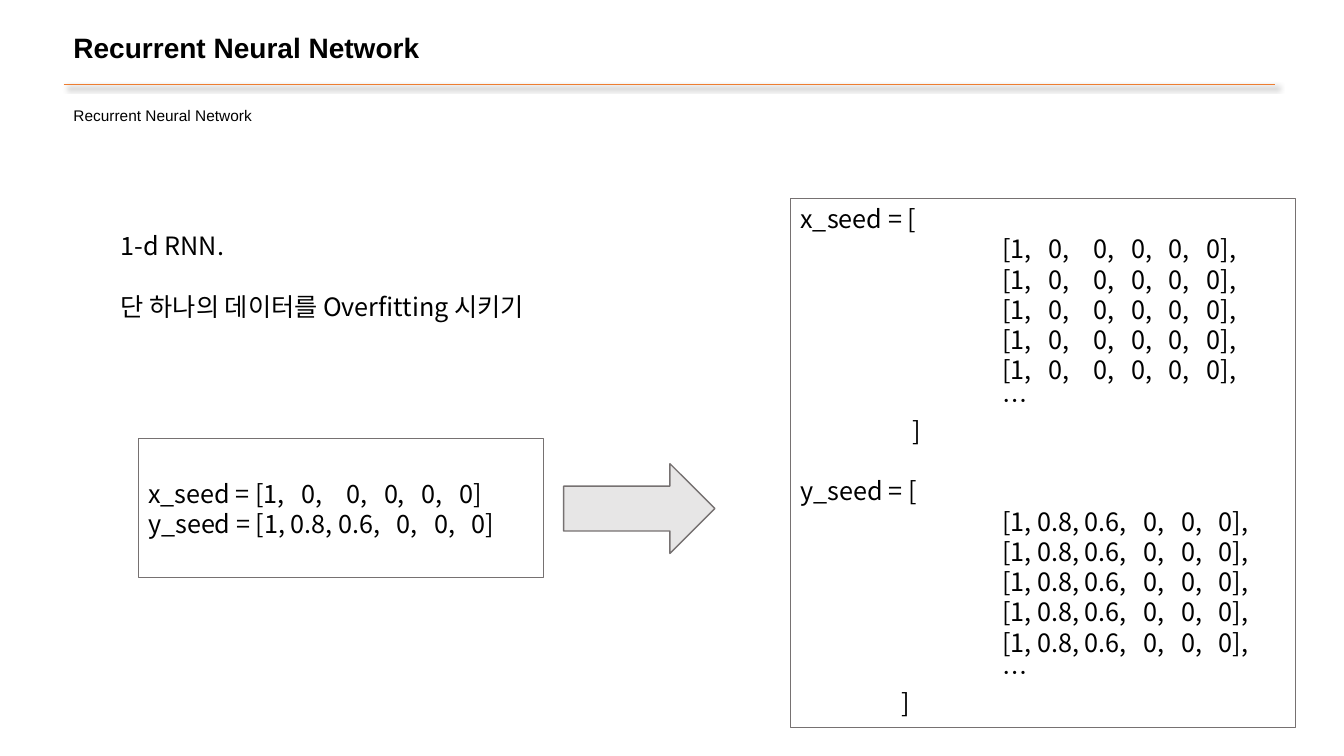
"""Build the slide on overfitting a one-dimensional recurrent network."""
from dataclasses import dataclass
from typing import Any

from lxml import etree
from pptx import Presentation
from pptx import util as u
from pptx.dml.color import RGBColor
from pptx.enum import shapes, text
from pptx.oxml import ns

BLACK = RGBColor(0x00, 0x00, 0x00)
ORANGE = RGBColor(0xED, 0x7D, 0x31)
GRAY = RGBColor(0x76, 0x71, 0x71)
LIGHT = RGBColor(0xE7, 0xE6, 0xE6)
KOREAN = "Noto Sans CJK KR"
LINE_PITCH = 21.6
X_STOPS = (0.46, 0.91, 1.28, 1.65, 2.03)
Y_STOPS = (1.4, 1.78, 2.15)
X_ROW = "[1,\t0,\t0,\t0,\t0,\t0]"
Y_ROW = "[1, 0.8, 0.6,\t0,\t0,\t0]"
ROW_LEFT = 2.0
INLINE_LEFT = 1.06
REPEATS = 5


@dataclass
class Line:
    """One paragraph with its tab stops in inches and space before in points."""
    words: str
    stops: tuple[float, ...] = ()
    before: float = 0


@dataclass
class Box:
    """A block of text, framed or plain."""
    at: tuple[float, float, float, float]
    lines: list[Line]
    font: dict[str, Any]
    framed: bool = False
    wrap: bool = True
    anchor: Any = text.MSO_ANCHOR.TOP


def shift(left: float, stops: tuple[float, ...]) -> tuple[float, ...]:
    """Move tab stops to the right."""
    return tuple(round(left + stop, 2) for stop in stops)


def seed_block(name: str, row: str, stops: tuple[float, ...],
               close: float, before: float = 0) -> list[Line]:
    """List the lines of one repeated seed array."""
    row_stops = (ROW_LEFT, *shift(ROW_LEFT, stops))
    return [
        Line(f"{name} = [", before=before),
        *[Line(f"\t{row},", row_stops) for _ in range(REPEATS)],
        Line("\t…", (ROW_LEFT,)),
        Line("\t]", (close,)),
    ]


def add_effects(s: Any) -> Any:
    """Append an empty effect list to a shape."""
    return etree.SubElement(s._element.spPr, ns.qn("a:effectLst"))


def outline(s: Any, color: RGBColor, width: float) -> None:
    """Set the line of a shape."""
    s.line.color.rgb = color
    s.line.width = u.Pt(width)


def write_line(p: Any, line: Line, font: dict[str, Any]) -> None:
    """Fill one paragraph."""
    p.alignment = text.PP_ALIGN.LEFT
    if line.before:
        p.space_before = u.Pt(line.before)
    if line.stops:
        tabs = etree.SubElement(p._p.get_or_add_pPr(), ns.qn("a:tabLst"))
        for stop in line.stops:
            etree.SubElement(tabs, ns.qn("a:tab"), pos=str(u.Inches(stop)), algn="l")
    r = p.add_run()
    r.text = line.words
    for key, value in font.items():
        setattr(r.font, key, value)
    r.font.color.rgb = BLACK
    etree.SubElement(r._r.get_or_add_rPr(), ns.qn("a:ea"), typeface=font["name"])


def draw_box(sp: Any, box: Box) -> None:
    """Draw a text block."""
    at = [u.Inches(v) for v in box.at]
    if box.framed:
        s = sp.add_shape(shapes.MSO_SHAPE.RECTANGLE, *at)
        s.shadow.inherit = False
        s.fill.background()
        outline(s, GRAY, 0.75)
    else:
        s = sp.add_textbox(*at)
    tf = s.text_frame
    for key, value in {"word_wrap": box.wrap, "vertical_anchor": box.anchor}.items():
        setattr(tf, key, value)
    for i, line in enumerate(box.lines):
        p = tf.add_paragraph() if i else tf.paragraphs[0]
        write_line(p, line, box.font)


def draw_rule(sp: Any) -> None:
    """Draw the shadowed line under the title."""
    s = sp.add_connector(shapes.MSO_CONNECTOR.STRAIGHT, u.Inches(0.63),
                         u.Inches(0.84), u.Inches(12.65), u.Inches(0.84))
    outline(s, ORANGE, 0.5)
    shadow = etree.SubElement(add_effects(s), ns.qn("a:outerShdw"),
                              blurRad=str(u.Pt(4)), dist=str(u.Pt(3)),
                              dir="2700000", algn="tl", rotWithShape="0")
    color = etree.SubElement(shadow, ns.qn("a:prstClr"), val="black")
    etree.SubElement(color, ns.qn("a:alpha"), val="40000")


def draw_arrow(sp: Any) -> None:
    """Draw the arrow from one sample to the repeated samples."""
    s = sp.add_shape(shapes.MSO_SHAPE.RIGHT_ARROW, u.Inches(5.59),
                     u.Inches(4.6), u.Inches(1.5), u.Inches(0.89))
    s.shadow.inherit = False
    s.fill.solid()
    s.fill.fore_color.rgb = LIGHT
    outline(s, GRAY, 1)


def main() -> None:
    """Build and save the slide."""
    prs = Presentation()
    prs.slide_width, prs.slide_height = u.Inches(13.33), u.Inches(7.5)
    sp = prs.slides.add_slide(prs.slide_layouts[6]).shapes
    body = {"name": KOREAN, "size": u.Pt(18)}
    heading = [Line("Recurrent Neural Network")]
    boxes = [
        Box((0.63, 0.25, 3.66, 0.44), heading,
            {"name": "Arial", "size": u.Pt(20), "bold": True}, wrap=False),
        Box((0.63, 1, 1.98, 0.29), heading,
            {"name": "Arial", "size": u.Pt(11)}, wrap=False),
        Box((1.1, 2.24, 6.67, 2.52),
            [Line("1-d RNN."),
             Line("단 하나의 데이터를 Overfitting 시키기", before=LINE_PITCH)], body),
        Box((7.84, 1.97, 5.01, 5.25),
            seed_block("x_seed", X_ROW, X_STOPS, 1.11)
            + seed_block("y_seed", Y_ROW, Y_STOPS, 1.0, LINE_PITCH),
            body, framed=True),
        Box((1.37, 4.35, 4.02, 1.38),
            [Line(f"x_seed = {X_ROW}", shift(INLINE_LEFT, X_STOPS)),
             Line(f"y_seed = {Y_ROW}", shift(INLINE_LEFT, Y_STOPS))],
            body, framed=True, anchor=text.MSO_ANCHOR.MIDDLE),
    ]
    draw_rule(sp)
    draw_arrow(sp)
    for box in boxes:
        draw_box(sp, box)
    prs.save("out.pptx")


if __name__ == "__main__":
    main()
